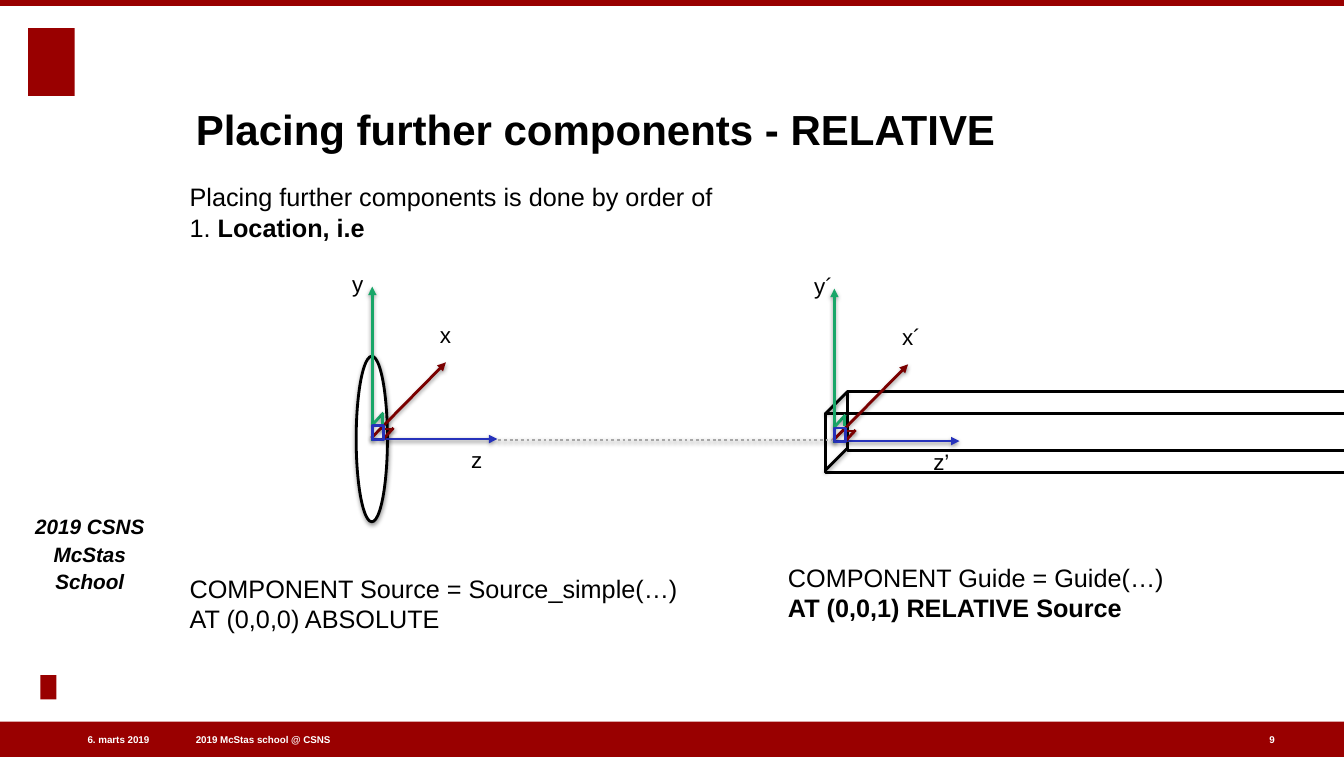
from lxml import etree
from pptx import Presentation
from pptx import util as u
from pptx.dml.color import RGBColor
from pptx.enum import dml, shapes, text
from pptx.oxml.ns import qn

RED, BLACK, WHITE, GREY = "990000", "000000", "FFFFFF", "A7A7A7"
X_RED, Y_GREEN, Z_BLUE = "7A0000", "19A668", "2632BB"


def rgb(value):
    return RGBColor.from_string(value)


class Deck:
    """Holds the style and the current slide."""

    font = "Arial"
    line_width = u.Pt(2)

    def __init__(self, width, height):
        self.prs = Presentation()
        self.prs.slide_width = u.Inches(width)
        self.prs.slide_height = u.Inches(height)
        self.s = self.prs.slides.add_slide(self.prs.slide_layouts[1])

    def add_shadow(self, sp):
        spPr = sp._element.spPr
        effects = spPr.find(qn("a:effectLst"))
        if effects is None:
            effects = etree.SubElement(spPr, qn("a:effectLst"))
        outer = etree.SubElement(effects, qn("a:outerShdw"), blurRad=str(u.Pt(3)),
                                 dist=str(u.Pt(1.6)), dir="5400000", rotWithShape="0")
        color = etree.SubElement(outer, qn("a:srgbClr"), val=BLACK)
        etree.SubElement(color, qn("a:alpha"), val="38000")

    def shape(self, x, y, w, h, fill=None, line=None, kind="RECTANGLE", shadow=False):
        sp = self.s.shapes.add_shape(shapes.MSO_SHAPE[kind], *map(u.Inches, (x, y, w, h)))
        sp.shadow.inherit = False
        if fill:
            sp.fill.solid()
            sp.fill.fore_color.rgb = rgb(fill)
        else:
            sp.fill.background()
        if line:
            sp.line.color.rgb = rgb(line)
            sp.line.width = self.line_width
        else:
            sp.line.fill.background()
        if shadow:
            self.add_shadow(sp)
        return sp

    def line(self, x1, y1, x2, y2, color=BLACK, arrow=False, dotted=False):
        sp = self.s.shapes.add_connector(shapes.MSO_CONNECTOR.STRAIGHT,
                                         *map(u.Inches, (x1, y1, x2, y2)))
        sp.line.color.rgb = rgb(color)
        sp.line.width = self.line_width
        if dotted:
            sp.line.dash_style = dml.MSO_LINE.ROUND_DOT
        if arrow:
            ln = sp._element.spPr.find(qn("a:ln"))
            etree.SubElement(ln, qn("a:tailEnd"), type="triangle")
        self.add_shadow(sp)
        return sp

    def set_text(self, sp, content, size, color=BLACK, bold=False, italic=False,
                 align="LEFT", anchor="TOP", wrap=True):
        tf = sp.text_frame
        tf.text = content
        tf.word_wrap = wrap
        tf.auto_size = text.MSO_AUTO_SIZE.NONE
        tf.vertical_anchor = text.MSO_ANCHOR[anchor]
        tf.margin_left = tf.margin_top = tf.margin_right = tf.margin_bottom = 0
        for p in tf.paragraphs:
            p.alignment = text.PP_ALIGN[align]
            p.space_before = u.Pt(0)
            for r in p.runs:
                r.font.name, r.font.size = self.font, u.Pt(size)
                r.font.bold, r.font.italic = bold, italic
                r.font.color.rgb = rgb(color)
        return tf

    def label(self, x, y, w, h, content, size, **style):
        sp = self.s.shapes.add_textbox(*map(u.Inches, (x, y, w, h)))
        return self.set_text(sp, content, size, **style)

    def placeholder(self, idx, x, y, w, h, content, size, **style):
        sp = self.s.placeholders[idx]
        sp.left, sp.top, sp.width, sp.height = map(u.Inches, (x, y, w, h))
        tf = self.set_text(sp, content, size, **style)
        for p in tf.paragraphs:
            pPr = p._p.get_or_add_pPr()
            pPr.set("marL", "0")
            pPr.set("indent", "0")
            etree.SubElement(pPr, qn("a:buNone"))
        return tf

    def axes(self, x, y, prime_xy="", prime_z=""):
        """Coordinate system with its right-angle marks and axis names."""
        strokes = [
            (0, 0.02, 0, -1.51, Y_GREEN, True),
            (0, 0, 1.24, 0, Z_BLUE, True),
            (-0.01, -0.01, 0.73, -0.76, X_RED, True),
            (0.07, -0.1, 0.21, -0.1, X_RED, False),
            (0.1, 0.01, 0.21, -0.11, X_RED, False),
            (0, -0.14, 0.11, -0.26, Y_GREEN, False),
            (0.1, -0.15, 0.1, -0.26, Y_GREEN, False),
        ]
        for x1, y1, x2, y2, color, arrow in strokes:
            self.line(x + x1, y + y1, x + x2, y + y2, color, arrow)
        self.shape(x, y - 0.13, 0.11, 0.14, line=Z_BLUE)
        names = [("x" + prime_xy, 0.67, -1.17), ("y" + prime_xy, -0.2, -1.67),
                 ("z" + prime_z, 0.98, 0.07)]
        for name, dx, dy in names:
            self.label(x + dx, y + dy, 0.2, 0.24, name, 16, wrap=False)


def main():
    d = Deck(13.32, 7.5)

    # Frame: bars, plain emblem blocks, footer and side note
    d.shape(0, 7.15, 13.32, 0.35, RED)
    d.shape(0, 0, 13.32, 0.06, RED)
    d.shape(0.28, 0.28, 0.46, 0.67, RED)
    d.shape(0.4, 6.69, 0.16, 0.24, RED)
    footer = dict(size=7, color=WHITE, bold=True, anchor="MIDDLE")
    d.label(1.94, 7.26, 3.72, 0.14, "2019 McStas school @ CSNS", **footer)
    d.label(0.27, 7.26, 1.21, 0.14, "6. marts 2019", align="RIGHT", **footer)
    d.label(12.58, 7.26, 0.14, 0.14, "9", wrap=False, **footer)
    tf = d.label(0.34, 5.09, 1.1, 0.79, "2019 CSNS\vMcStas School", 14.8,
                 bold=True, italic=True, align="CENTER", anchor="BOTTOM")
    tf.paragraphs[0].line_spacing = 1.1

    # Title and body
    d.placeholder(0, 1.94, 0.47, 10.18, 1.06, "Placing further components - RELATIVE", 30,
                  bold=True, anchor="BOTTOM")
    tf = d.placeholder(1, 1.88, 1.8, 10.18, 4.97,
                       "Placing further components is done by order of \v1. \n"
                       "COMPONENT Source = Source_simple(…)\vAT (0,0,0) ABSOLUTE", 18)
    intro, source = tf.paragraphs
    r = intro.add_run()
    r.text = "Location, i.e"
    r.font.name, r.font.size, r.font.bold = d.font, u.Pt(18), True
    r.font.color.rgb = rgb(BLACK)
    source.space_before = u.Pt(236)

    # Source with its axes
    d.shape(8.4, 3.88, 6.22, 0.58, WHITE, BLACK)
    d.shape(3.53, 3.53, 0.31, 1.64, WHITE, BLACK, "OVAL", shadow=True)
    d.axes(3.69, 4.35)

    # Guide with its axes
    d.shape(8.18, 4.1, 6.22, 0.58, line=BLACK)
    for y in (4.1, 4.66):
        d.line(8.18, y, 8.4, y - 0.22)
    d.axes(8.27, 4.37, "´", "’")
    d.line(4.94, 4.36, 8.25, 4.36, GREY, dotted=True)

    # Guide code
    tf = d.label(7.81, 5.57, 3.74, 0.58,
                 "COMPONENT Guide = Guide(…)\vAT (0,0,1) RELATIVE Source", 18, wrap=False)
    tf.paragraphs[0].runs[1].font.bold = True

    d.prs.save("out.pptx")


if __name__ == "__main__":
    main()
